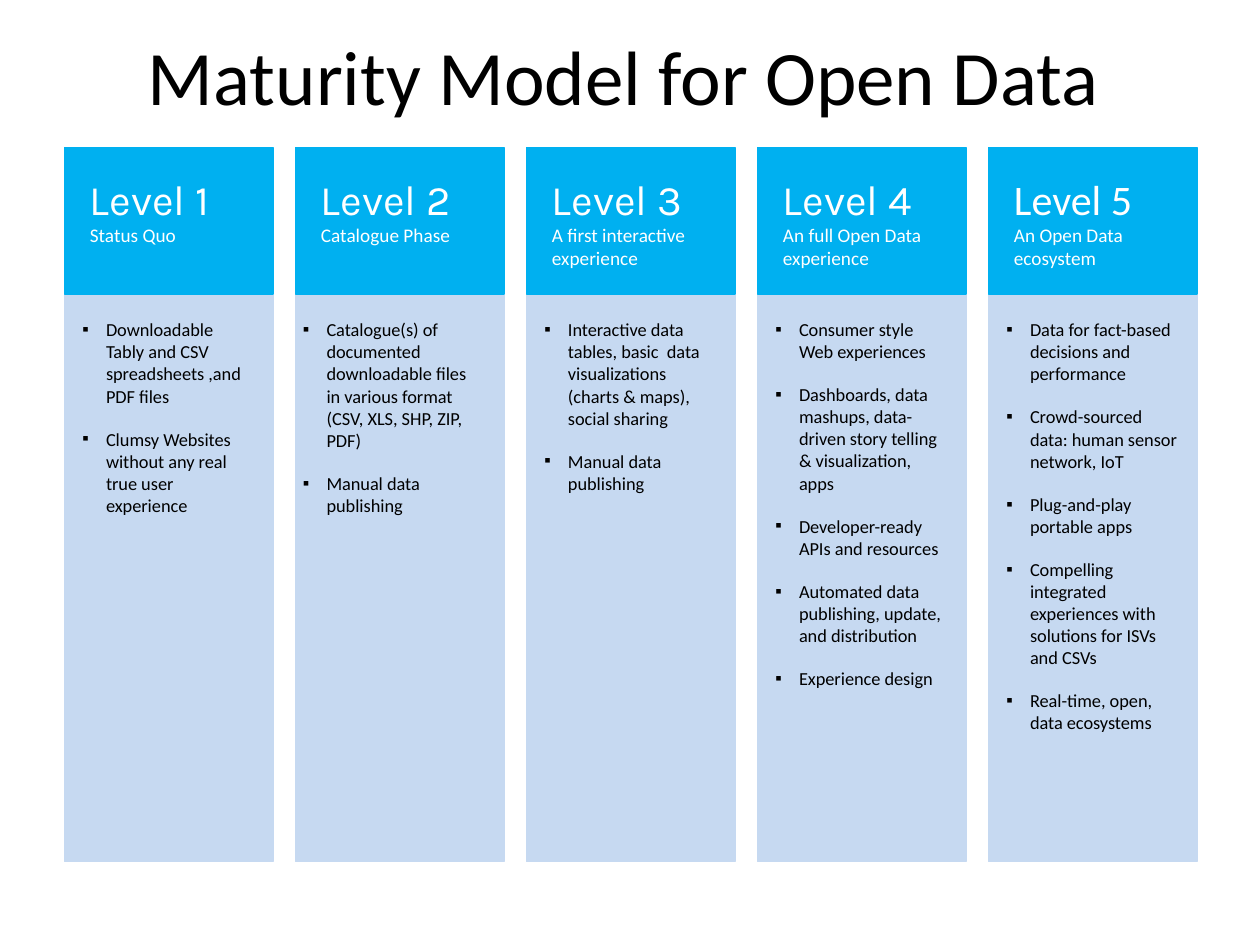
"""Build the five-column maturity model slide for open data."""
from lxml.etree import SubElement
from pptx import Presentation
from pptx.dml.color import RGBColor
from pptx.enum.shapes import MSO_SHAPE
from pptx.enum.text import MSO_ANCHOR, MSO_AUTO_SIZE, PP_ALIGN
from pptx.oxml.ns import qn
from pptx.util import Pt

COLORS = {"header": "00B0F0", "panel": "C6D9F1", "ink": "000000", "light": "FFFFFF"}

FIRST_LEFT, PITCH, COLUMN_WIDTH = 37, 132, 119
HEADER_TOP, HEADER_HEIGHT = 84.5, 83.5
PANEL_TOP, PANEL_HEIGHT = 168.5, 324
LIST_TOP, LIST_WIDTH = 178.5, 112

LEVELS = [
    ("Level 1", "Karla", "Status Quo", 3, 121, [
        "Downloadable Tably and CSV spreadsheets ,and PDF files",
        "Clumsy Websites without any real true user experience"]),
    ("Level 2", "Karla", "Catalogue Phase", -3, 121, [
        "Catalogue(s) of documented downloadable files in various format "
        "(CSV, XLS, SHP, ZIP, PDF)",
        "Manual data publishing"]),
    ("Level 3", "Karla", "A first interactive experience", 3, 109, [
        "Interactive data tables, basic  data visualizations (charts & maps), "
        "social sharing",
        "Manual data publishing"]),
    ("Level 4", "Karla", "An full Open Data  experience", 3, 246, [
        "Consumer style Web experiences",
        "Dashboards, data mashups, data-driven story telling & visualization, apps",
        "Developer-ready APIs and resources",
        "Automated data publishing, update, and distribution",
        "Experience design"]),
    ("Level 5", "Calibri", "An Open Data ecosystem", 3, 259, [
        "Data for fact-based decisions and performance",
        "Crowd-sourced data: human sensor network, IoT",
        "Plug-and-play portable apps",
        "Compelling integrated experiences with solutions for ISVs and CSVs",
        "Real-time, open, data ecosystems"]),
]


def write(paragraph, text, *, size, color="ink", font="Calibri",
          align=PP_ALIGN.LEFT, after=0, bullet=None, indent=13.5):
    """Put formatted text into a paragraph, with an optional bullet."""
    paragraph.alignment = align
    paragraph.space_before = Pt(0)
    paragraph.space_after = Pt(after)
    run = paragraph.add_run()
    run.text = text
    run.font.size = Pt(size)
    run.font.name = font
    run.font.color.rgb = RGBColor.from_string(COLORS[color])
    if bullet:
        properties = paragraph._p.get_or_add_pPr()
        properties.set("marL", str(Pt(indent)))
        properties.set("indent", str(-Pt(indent)))
        SubElement(properties, qn("a:buFont"), typeface="Arial")
        SubElement(properties, qn("a:buChar"), char=bullet)


class MaturitySlide:
    """Hold the current slide and draw its parts in one style."""

    def __init__(self, deck):
        """Add a title-only slide to the deck."""
        self.slide = deck.slides.add_slide(deck.slide_layouts[5])

    def title(self, text):
        """Fill and place the title placeholder."""
        heading = self.slide.shapes.title
        heading.left, heading.top = Pt(32.4), Pt(31)
        heading.width, heading.height = Pt(648), Pt(23)
        heading.text_frame.vertical_anchor = MSO_ANCHOR.MIDDLE
        heading.text_frame.auto_size = MSO_AUTO_SIZE.NONE
        write(heading.text_frame.paragraphs[0], text, size=44, align=PP_ALIGN.CENTER)

    def block(self, shapes, left, top, height, color):
        """Draw one flat rectangle of column width."""
        rectangle = shapes.add_shape(
            MSO_SHAPE.RECTANGLE, Pt(left), Pt(top), Pt(COLUMN_WIDTH), Pt(height))
        rectangle.shadow.inherit = False
        rectangle.fill.solid()
        rectangle.fill.fore_color.rgb = RGBColor.from_string(COLORS[color])
        rectangle.line.color.rgb = RGBColor.from_string(COLORS[color])
        rectangle.line.width = Pt(0.75)
        return rectangle

    def header(self, shapes, left, level, font, phase):
        """Draw a column header with its level and phase."""
        frame = self.block(shapes, left, HEADER_TOP, HEADER_HEIGHT, "header").text_frame
        frame.word_wrap = True
        frame.vertical_anchor = MSO_ANCHOR.TOP
        frame.margin_left = frame.margin_right = Pt(14.4)
        frame.margin_top = frame.margin_bottom = Pt(14.4)
        write(frame.paragraphs[0], level, size=24, color="light", font=font)
        write(frame.add_paragraph(), phase, size=11, color="light")

    def bullets(self, shapes, left, height, traits):
        """Write the bulleted traits of a level."""
        frame = shapes.add_textbox(
            Pt(left), Pt(LIST_TOP), Pt(LIST_WIDTH), Pt(height)).text_frame
        frame.word_wrap = True
        frame.auto_size = MSO_AUTO_SIZE.SHAPE_TO_FIT_TEXT
        for number, trait in enumerate(traits):
            paragraph = frame.add_paragraph() if number else frame.paragraphs[0]
            write(paragraph, trait, size=10.5, after=12, bullet="▪")

    def column(self, left, level, font, phase, shift, list_height, traits):
        """Draw one level as a group of panel, list and header."""
        shapes = self.slide.shapes.add_group_shape().shapes
        self.block(shapes, left, PANEL_TOP, PANEL_HEIGHT, "panel")
        self.bullets(shapes, left + shift, list_height, traits)
        self.header(shapes, left, level, font, phase)


def main():
    """Build and save the deck."""
    deck = Presentation()
    deck.slide_width, deck.slide_height = Pt(720), Pt(540)
    model = MaturitySlide(deck)
    model.title("Maturity Model for Open Data")
    for index, level in enumerate(LEVELS):
        model.column(FIRST_LEFT + index * PITCH, *level)
    deck.save("out.pptx")


if __name__ == "__main__":
    main()
